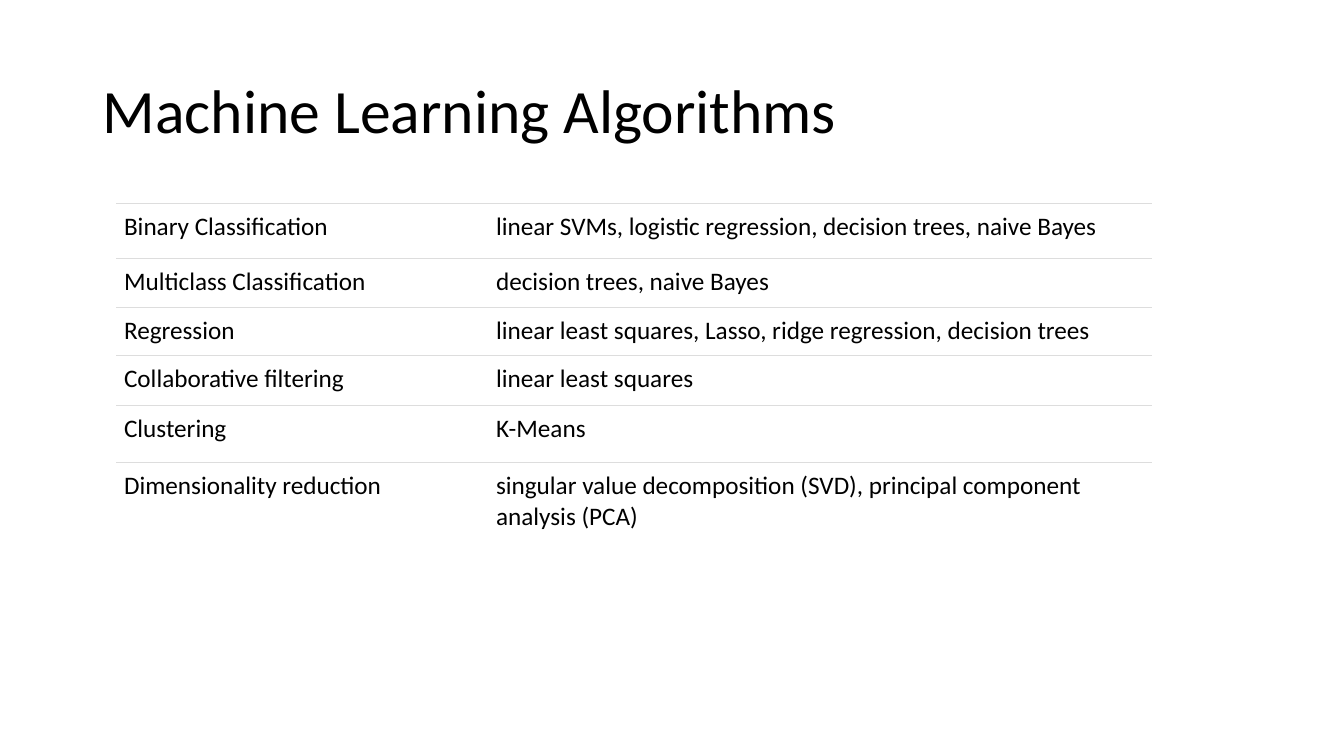
from dataclasses import dataclass

from lxml import etree
from pptx import Presentation, util as u
from pptx.dml import color
from pptx.enum import text
from pptx.oxml import ns

WIDE, HIGH = u.Inches(13.333), u.Inches(7.5)


@dataclass(frozen=True)
class Theme:
    """Colours, font and type sizes of the slide."""
    font: str = "Calibri"
    ink: str = "000000"
    paper: str = "FFFFFF"
    rule: str = "DDDDDD"
    title: float = 44
    body: float = 18
    line: float = 0.75
    inset: float = 0.08


THEME = Theme()

# Row height in percent of the slide, task, algorithms
TASKS = [
    (7.2, "Binary Classification",
     "linear SVMs, logistic regression, decision trees, naive Bayes"),
    (6.53, "Multiclass Classification", "decision trees, naive Bayes"),
    (6.4, "Regression",
     "linear least squares, Lasso, ridge regression, decision trees"),
    (6.53, "Collaborative filtering", "linear least squares"),
    (7.6, "Clustering", "K-Means"),
    (10.8, "Dimensionality reduction",
     "singular value decomposition (SVD), principal component analysis (PCA)"),
]
COLS = (27.68, 49.43)


def across(share):
    """Turn a percentage of the slide width into a length."""
    return int(WIDE * share / 100)


def down(share):
    """Turn a percentage of the slide height into a length."""
    return int(HIGH * share / 100)


def write(frame, words, size):
    """Add one styled run to the first paragraph and return the paragraph."""
    para = frame.paragraphs[0]
    run = para.add_run()
    run.text = words
    run.font.name = THEME.font
    run.font.size = u.Pt(size)
    run.font.color.rgb = color.RGBColor.from_string(THEME.ink)
    para.alignment = text.PP_ALIGN.LEFT
    return para


def add_title(slide, words):
    """Place and fill the title placeholder."""
    title = slide.shapes.title
    title.left, title.top = across(6.9), down(5.33)
    title.width, title.height = across(86.25), down(19.33)
    frame = title.text_frame
    frame.word_wrap = True
    frame.vertical_anchor = text.MSO_ANCHOR.MIDDLE
    write(frame, words, THEME.title).line_spacing = 0.9


def add_edge(cell, side, shown):
    """Draw one cell border, or switch it off."""
    props = cell._tc.get_or_add_tcPr()
    edge = etree.SubElement(props, ns.qn(f"a:ln{side}"),
                            w=str(u.Pt(THEME.line)))
    if shown:
        fill = etree.SubElement(edge, ns.qn("a:solidFill"))
        etree.SubElement(fill, ns.qn("a:srgbClr"), val=THEME.rule)
    else:
        etree.SubElement(edge, ns.qn("a:noFill"))


def fill_cell(cell, words, last):
    """Set the text, insets, rules and fill of a cell."""
    cell.margin_left = cell.margin_right = u.Inches(THEME.inset)
    cell.margin_top = cell.margin_bottom = u.Inches(THEME.inset)
    cell.vertical_anchor = text.MSO_ANCHOR.TOP
    write(cell.text_frame, words, THEME.body)
    for side, shown in zip("LRTB", (False, False, True, not last)):
        add_edge(cell, side, shown)
    cell.fill.solid()
    cell.fill.fore_color.rgb = color.RGBColor.from_string(THEME.paper)


def add_tasks(slide):
    """Add the table of tasks and their algorithms."""
    size = across(sum(COLS)), down(sum(task[0] for task in TASKS))
    table = slide.shapes.add_table(len(TASKS), len(COLS), across(8.63),
                                   down(26.93), *size).table
    table.first_row = table.horz_banding = False
    for col, share in zip(table.columns, COLS):
        col.width = across(share)
    for i, (share, *words) in enumerate(TASKS):
        table.rows[i].height = down(share)
        for j, word in enumerate(words):
            fill_cell(table.cell(i, j), word, i == len(TASKS) - 1)


def main():
    """Build and save the slide."""
    deck = Presentation()
    deck.slide_width, deck.slide_height = WIDE, HIGH
    slide = deck.slides.add_slide(deck.slide_layouts[5])
    add_title(slide, "Machine Learning Algorithms")
    add_tasks(slide)
    deck.save("out.pptx")


main()
